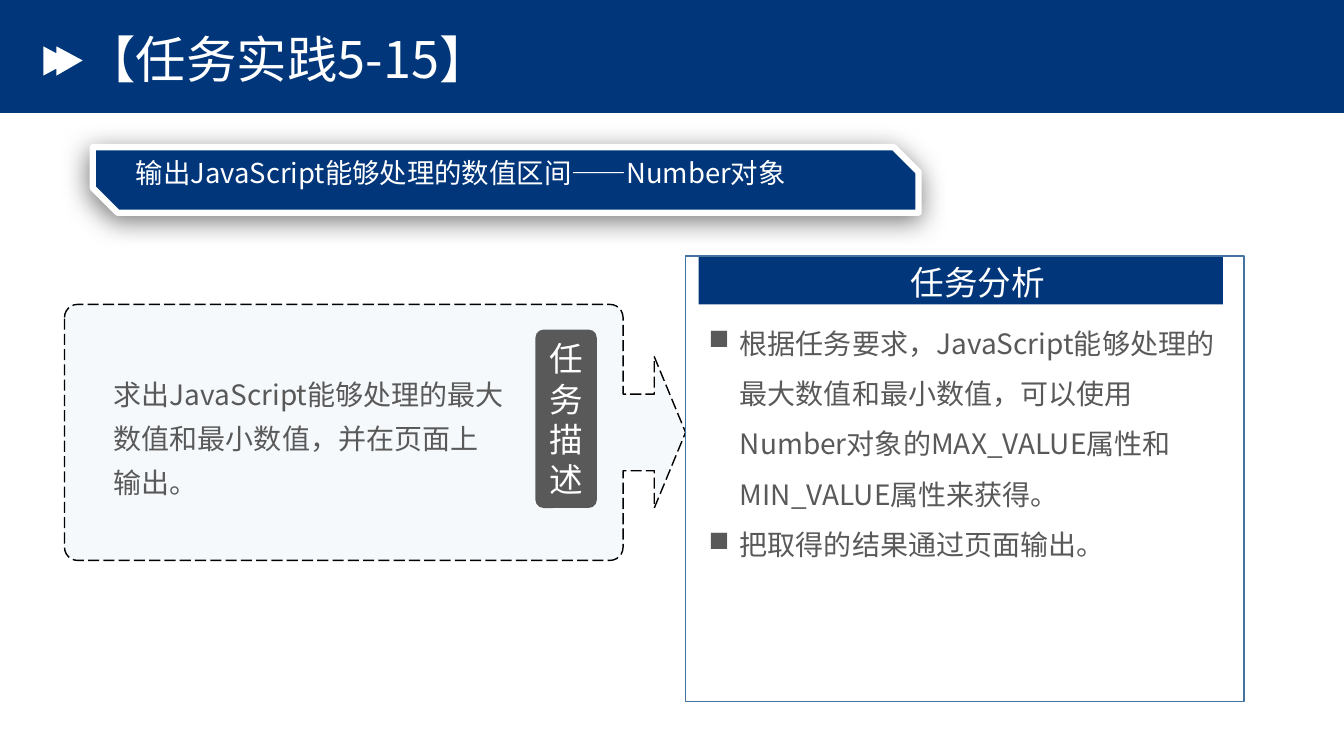
import math

import lxml.etree
import pptx
import pptx.dml.color
import pptx.enum.dml
import pptx.enum.shapes
import pptx.enum.text
import pptx.oxml.ns
import pptx.util

Inches = pptx.util.Inches
Pt = pptx.util.Pt
qn = pptx.oxml.ns.qn
KIND = pptx.enum.shapes.MSO_SHAPE
ALIGN = pptx.enum.text.PP_ALIGN
ANCHOR = pptx.enum.text.MSO_ANCHOR
SANS = "Noto Sans CJK SC"
NAVY, GRAY, WHITE = "01367A", "595959", "FFFFFF"


def color(code):
    return pptx.dml.color.RGBColor.from_string(code)


def node(parent, tag, **attrs):
    return lxml.etree.SubElement(parent, qn(tag), attrs)


def paint(shape, fill=None, line=None, width=1):
    shape.shadow.inherit = False
    if fill:
        shape.fill.solid()
        shape.fill.fore_color.rgb = color(fill)
    else:
        shape.fill.background()
    if line:
        shape.line.color.rgb = color(line)
        shape.line.width = Pt(width)
    else:
        shape.line.fill.background()
    return shape


def add_box(slide, kind, place, fill=None, line=None, width=1, adjust=()):
    shape = slide.shapes.add_shape(kind, *map(Inches, place))
    for i, value in enumerate(adjust):
        shape.adjustments[i] = value
    return paint(shape, fill, line, width)


def add_free(slide, points, fill, line=None):
    spots = [(Inches(x), Inches(y)) for x, y in points]
    build = slide.shapes.build_freeform(*spots[0])
    build.add_line_segments(spots[1:], close=True)
    return paint(build.convert_to_shape(), fill, line)


def write(shape, lines, size, code, face=SANS, align=ALIGN.LEFT,
          space=1.0, anchor=ANCHOR.TOP, bullet=None):
    frame = shape.text_frame
    frame.word_wrap = True
    frame.vertical_anchor = anchor
    frame.text = "\n".join(lines)
    for para in frame.paragraphs:
        para.alignment = align
        para.line_spacing = space
        if bullet:
            props = para._p.get_or_add_pPr()
            props.set("marL", str(Inches(0.31)))
            props.set("indent", str(Inches(-0.31)))
            node(props, "a:buChar", char=bullet)
        font = para.font
        font.size = Pt(size)
        font.color.rgb = color(code)
        font.name = face
        node(para._p.find(".//" + qn("a:defRPr")), "a:ea", typeface=face)


def add_text(slide, place, lines, size, code, **style):
    box = slide.shapes.add_textbox(*map(Inches, place))
    write(box, lines, size, code, **style)


def add_shade(shape):
    effects = shape._element.spPr.find(qn("a:effectLst"))
    shade = node(effects, "a:outerShdw", blurRad=str(Pt(19)), dist=str(Pt(4)),
                 dir=str(112 * 60000), algn="ctr", rotWithShape="0")
    node(node(shade, "a:srgbClr", val="000000"), "a:alpha", val="51000")


def bend(x, y, start, radius=0.13):
    """Points of a quarter circle around x, y."""
    angles = [math.radians(start + 15 * i) for i in range(7)]
    return [(x + radius * math.cos(a), y + radius * math.sin(a)) for a in angles]


def add_callout(slide):
    left, top, right, bottom, radius = 0.64, 3.02, 6.18, 5.56, 0.13
    arrow = [(right, 3.91), (6.49, 3.91), (6.49, 3.54), (6.8, 4.29),
             (6.49, 5.04), (6.49, 4.67), (right, 4.67)]
    points = (bend(left + radius, top + radius, 180)
              + bend(right - radius, top + radius, 270)
              + arrow
              + bend(right - radius, bottom - radius, 0)
              + bend(left + radius, bottom - radius, 90))
    shape = add_free(slide, points, "BDD7EE", "000000")
    shape.line.dash_style = pptx.enum.dml.MSO_LINE.LONG_DASH
    fill = shape._element.spPr.find(qn("a:solidFill"))
    node(fill[0], "a:alpha", val="15000")


def main():
    deck = pptx.Presentation()
    deck.slide_width, deck.slide_height = Inches(13.33), Inches(7.5)
    slide = deck.slides.add_slide(deck.slide_layouts[6])

    # Header
    add_box(slide, KIND.RECTANGLE, (0, 0, 13.33, 1.12), NAVY)
    add_free(slide, [(0.43, 0.46), (0.56, 0.53), (0.56, 0.46), (0.82, 0.6),
                     (0.56, 0.75), (0.56, 0.68), (0.43, 0.75)], WHITE)
    add_text(slide, (0.75, 0.34, 6.58, 0.56), ["【任务实践5-15】"], 36, WHITE,
             space=0.9, anchor=ANCHOR.MIDDLE)

    # Topic banner
    banner = add_box(slide, KIND.SNIP_2_DIAG_RECTANGLE, (0.92, 1.46, 8.19, 0.65),
                     NAVY, WHITE, 4.5, (0, 0.378))
    add_shade(banner)
    add_text(slide, (1.25, 1.47, 7.4, 0.7),
             ["输出JavaScript能够处理的数值区间——Number对象"], 19.6, WHITE, space=1.1)

    # Task description
    add_callout(slide)
    add_text(slide, (1.03, 3.6, 4.07, 1.37),
             ["求出JavaScript能够处理的最大数值和最小数值，并在页面上输出。"],
             20, GRAY, space=1.3)
    badge = add_box(slide, KIND.ROUNDED_RECTANGLE, (5.31, 3.27, 0.61, 1.77),
                    GRAY, adjust=[0.133])
    write(badge, ["任务描述"], 24, WHITE, face="Calibri", align=ALIGN.CENTER,
          anchor=ANCHOR.MIDDLE)

    # Task analysis
    add_box(slide, KIND.RECTANGLE, (6.93, 2.54, 5.2, 0.48), NAVY)
    add_text(slide, (6.93, 2.55, 5.54, 0.49), ["任务分析"], 24, WHITE,
             align=ALIGN.CENTER)
    add_text(slide, (6.93, 3.02, 5.4, 2.03),
             ["根据任务要求，JavaScript能够处理的最大数值和最小数值，"
              "可以使用Number对象的MAX_VALUE属性和MIN_VALUE属性来获得。",
              "把取得的结果通过页面输出。"],
             20, GRAY, space=1.5, bullet="■")
    add_box(slide, KIND.RECTANGLE, (6.8, 2.54, 5.54, 4.42), line="43739E")

    deck.save("out.pptx")


if __name__ == "__main__":
    main()
